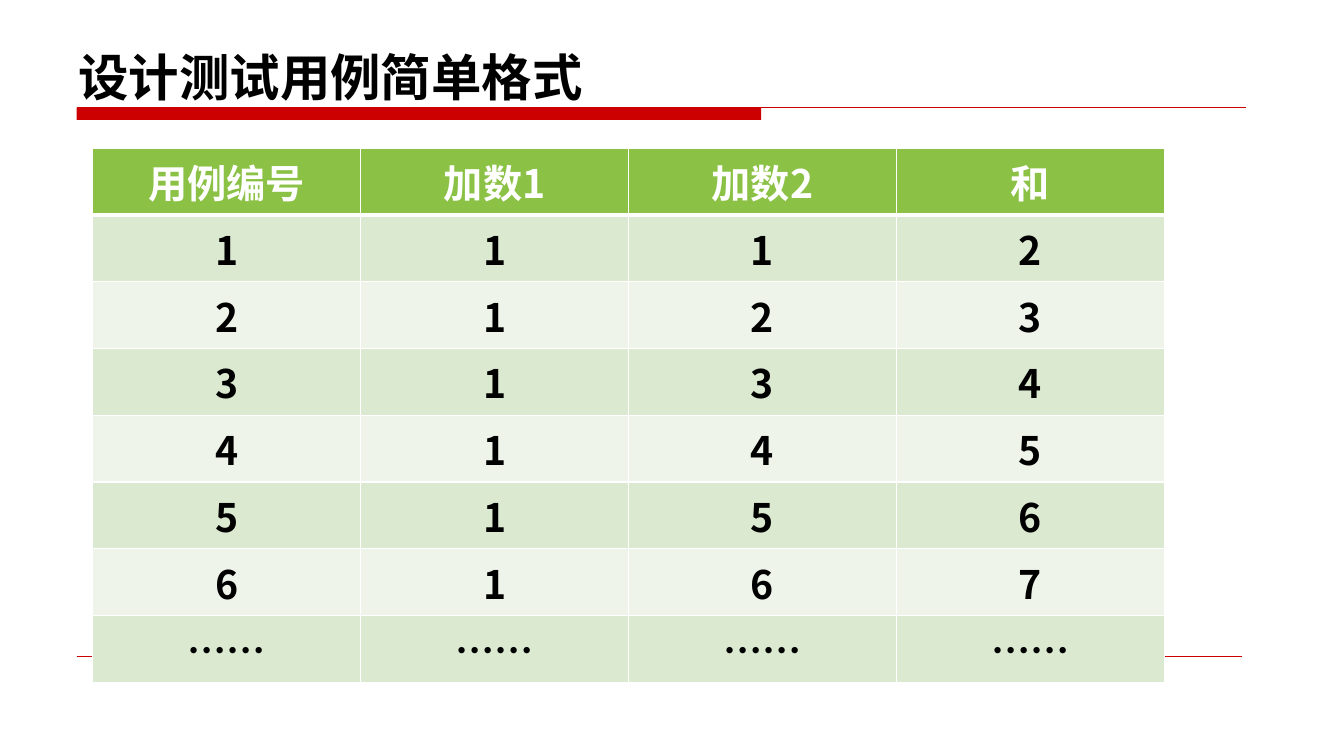
"""Build the slide that shows a simple format for test cases."""
from lxml.etree import SubElement
from pptx import Presentation
from pptx.dml.color import RGBColor
from pptx.enum.shapes import MSO_CONNECTOR as CONN, MSO_SHAPE as SHAPE
from pptx.enum.text import MSO_ANCHOR as ANCHOR, PP_ALIGN as ALIGN
from pptx.oxml.ns import qn
from pptx.util import Inches, Pt


def rgb(code):
    return RGBColor.from_string(code)


class Deck:
    FONT = "Noto Sans CJK SC"
    RED, BLACK, WHITE, GREEN = "CC0000", "000000", "FFFFFF", "8BC145"
    BANDS = ("DAE9CF", "EEF4E9")

    def __init__(self):
        self.prs = Presentation()
        self.prs.slide_width, self.prs.slide_height = Inches(13.33), Inches(7.5)
        self.s = self.prs.slides.add_slide(self.prs.slide_layouts[6])

    def x(self, share):
        return int(self.prs.slide_width * share / 100)

    def y(self, share):
        return int(self.prs.slide_height * share / 100)

    def box(self, x, y, w, h):
        return self.x(x), self.y(y), self.x(w), self.y(h)

    def run(self, p, text, size, color):
        r = p.add_run()
        r.text = text
        r.font.name, r.font.size, r.font.bold = self.FONT, Pt(size), True
        r.font.color.rgb = rgb(color)
        SubElement(r.font._element, qn("a:ea"), typeface=self.FONT)

    def bar(self, x, y, w, h):
        sp = self.s.shapes.add_shape(SHAPE.RECTANGLE, *self.box(x, y, w, h))
        sp.shadow.inherit = False
        sp.fill.solid()
        sp.fill.fore_color.rgb = rgb(self.RED)
        sp.line.fill.background()

    def rule(self, x1, x2, y, width):
        line = self.s.shapes.add_connector(
            CONN.STRAIGHT, self.x(x1), self.y(y), self.x(x2), self.y(y))
        line.line.color.rgb = rgb(self.RED)
        line.line.width = Pt(width)
        SubElement(line._element.spPr, qn("a:effectLst"))

    def title(self, text, x, y, w, h):
        tf = self.s.shapes.add_textbox(*self.box(x, y, w, h)).text_frame
        tf.word_wrap, tf.vertical_anchor = True, ANCHOR.BOTTOM
        self.run(tf.paragraphs[0], text, 36, self.BLACK)

    def borders(self, cell, top, bottom):
        tc_pr = cell._tc.get_or_add_tcPr()
        sides = {"L": 1, "R": 1, "T": top, "B": bottom}
        for i, (side, width) in enumerate(sides.items()):
            ln = tc_pr.makeelement(qn(f"a:ln{side}"), {"w": str(Pt(width))})
            fill = SubElement(ln, qn("a:solidFill"))
            SubElement(fill, qn("a:srgbClr"), val=self.WHITE)
            tc_pr.insert(i, ln)

    def table(self, rows, x, y, w, row_h):
        frame = self.s.shapes.add_table(
            len(rows), len(rows[0]), *self.box(x, y, w, row_h * len(rows)))
        for i, row in enumerate(rows):
            for j, text in enumerate(row):
                cell = frame.table.cell(i, j)
                cell.fill.solid()
                cell.fill.fore_color.rgb = rgb(self.BANDS[(i - 1) % 2] if i else self.GREEN)
                self.borders(cell, 3 if i == 1 else 1, 1 if i else 3)
                p = cell.text_frame.paragraphs[0]
                p.alignment = ALIGN.CENTER
                self.run(p, text, 28, self.BLACK if i else self.WHITE)


deck = Deck()
deck.bar(5.7, 14.27, 50.94, 1.6)
deck.rule(5.7, 92.72, 14.27, 0.75)
deck.rule(5.7, 92.42, 86.8, 0.25)
deck.title("设计测试用例简单格式", 5.1, 3.87, 86.27, 10.93)

header = ["用例编号", "加数1", "加数2", "和"]
cases = [[str(n), "1", str(n), str(n + 1)] for n in range(1, 7)]
deck.table([header, *cases, ["……"] * 4], 6.9, 19.6, 79.74, 8.83)

deck.prs.save("out.pptx")
